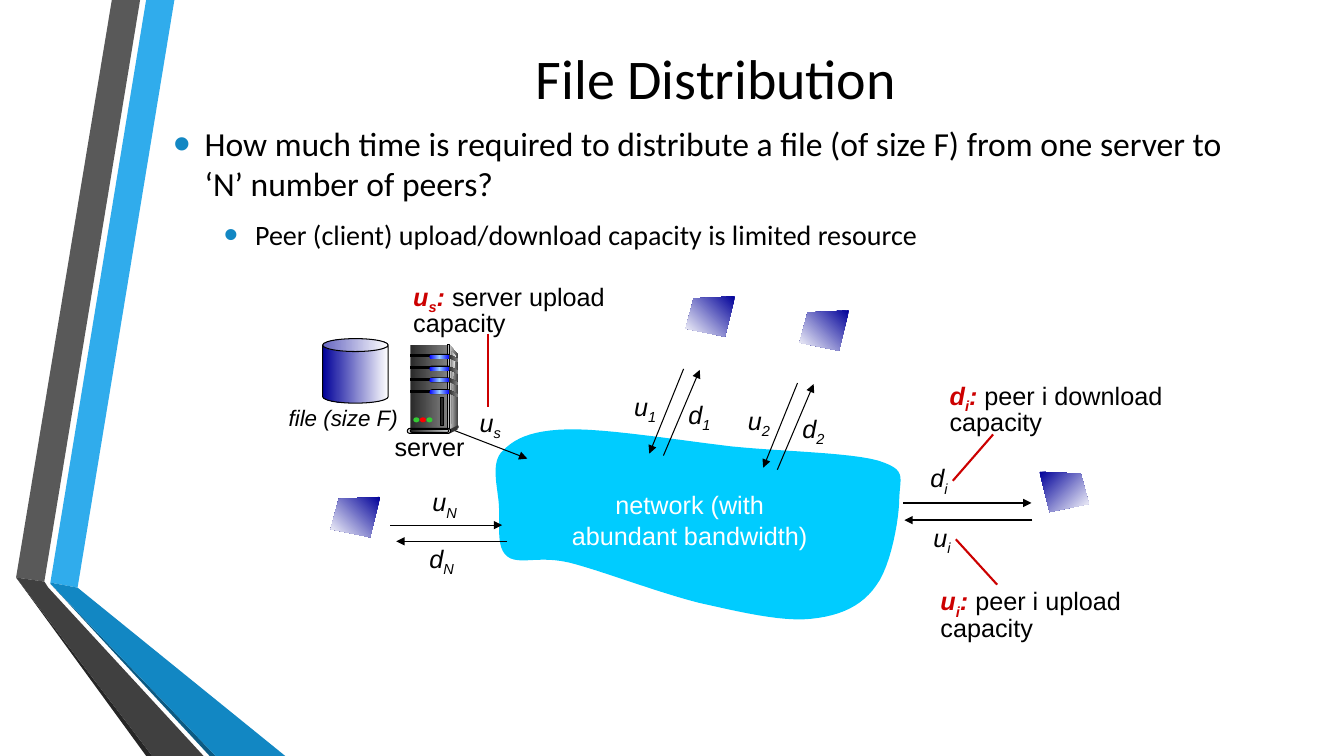
from lxml.etree import SubElement
from pptx import Presentation
from pptx.dml.color import RGBColor
from pptx.enum.shapes import MSO_CONNECTOR, MSO_SHAPE
from pptx.enum.text import MSO_ANCHOR, MSO_AUTO_SIZE, PP_ALIGN
from pptx.oxml.ns import qn
from pptx.util import Inches, Pt

COLORS = {
    "black": "000000", "white": "FFFFFF", "red": "CC0000", "cloud": "00CCFF",
    "navy": "000099", "sky": "30ACEC", "blue": "1287C3", "deep": "0C5A82",
    "gray": "595959", "slate": "404040", "coal": "262626",
    "dark": "292929", "iron": "333333", "steel": "808080", "silver": "DDDDDD",
    "pale": "F8F8F8", "foot": "212121", "mist": "CDD0D1",
    "bay": "0000FF", "glow": "99CCFF", "green": "33CC33", "lamp": "FF0000",
}
BAY = ("bay", "glow", "bay")
PEER = ((0.49, 0), (0.08, 0.02), (0, 0.32), (0.39, 0.4))
CLOUD = (
    (0.77, 0.01), (0.39, 0.02, 0.23, 0.11, 0.11, 0.24),
    (0, 0.37, 0.09, 0.63, 0.09, 0.8), (0.1, 0.97, 0.06, 1.18, 0.17, 1.27),
    (0.29, 1.36, 0.47, 1.26, 0.78, 1.33), (1.1, 1.41, 1.67, 1.63, 2.07, 1.73),
    (2.47, 1.82, 2.89, 1.92, 3.18, 1.89), (3.48, 1.86, 3.69, 1.76, 3.83, 1.56),
    (3.98, 1.36, 4.06, 0.89, 4.06, 0.68), (4.07, 0.47, 4.13, 0.41, 3.85, 0.32),
    (3.57, 0.24, 2.9, 0.23, 2.4, 0.18), (1.89, 0.12, 1.15, 0, 0.77, 0.01),
)


def color(name):
    return RGBColor.from_string(COLORS[name])


def write(paragraph, text, size=18, font="Arial", ink="black", bold=False, italic=False, subscript=False):
    run = paragraph.add_run()
    run.text = text
    run.font.size = Pt(size)
    run.font.name = font
    run.font.color.rgb = color(ink)
    run.font.bold = bold
    run.font.italic = italic
    if subscript:
        run._r.get_or_add_rPr().set("baseline", "-25000")


def paint(shape, fill, angle=0, edge=None):
    shape.shadow.inherit = False
    if isinstance(fill, tuple):
        shape.fill.gradient()
        shape.fill.gradient_angle = (360 - angle) % 360
        stops = shape._element.spPr.find(".//" + qn("a:gsLst"))
        for stop in list(stops):
            stops.remove(stop)
        for i, name in enumerate(fill):
            stop = SubElement(stops, qn("a:gs"), pos=str(100000 * i // (len(fill) - 1)))
            SubElement(stop, qn("a:srgbClr"), val=COLORS[name])
    else:
        shape.fill.solid()
        shape.fill.fore_color.rgb = color(fill)
    if edge:
        shape.line.color.rgb = color(edge)
        shape.line.width = Pt(0.75)
    else:
        shape.line.fill.background()


def curve(start, bend, steps=12):
    x1, y1, x2, y2, x3, y3 = bend
    for step in range(1, steps + 1):
        t = step / steps
        a, b, c, d = (1 - t) ** 3, 3 * t * (1 - t) ** 2, 3 * t * t * (1 - t), t ** 3
        yield a * start[0] + b * x1 + c * x2 + d * x3, a * start[1] + b * y1 + c * y2 + d * y3


def draw_outline(shapes, left, top, nodes, fill, angle=0):
    points = [nodes[0]]
    for node in nodes[1:]:
        points.extend([node] if len(node) == 2 else curve(points[-1], node))
    corners = [(Inches(left + x), Inches(top + y)) for x, y in points]
    builder = shapes.build_freeform(*corners[0], scale=1.0)
    builder.add_line_segments(corners[1:], close=True)
    paint(builder.convert_to_shape(), fill, angle)


def draw_preset(shapes, kind, left, top, width, height, fill, edge=None, adjust=None):
    shape = shapes.add_shape(kind, Inches(left), Inches(top), Inches(width), Inches(height))
    if adjust is not None:
        shape.adjustments[0] = adjust
    paint(shape, fill, edge=edge)


def draw_line(shapes, left, top, start, end, ink="black", width=0.75, arrow=True):
    line = shapes.add_connector(
        MSO_CONNECTOR.STRAIGHT, Inches(left + start[0]), Inches(top + start[1]),
        Inches(left + end[0]), Inches(top + end[1]))
    line.line.color.rgb = color(ink)
    line.line.width = Pt(width)
    if arrow:
        SubElement(line.line._get_or_add_ln(), qn("a:tailEnd"), type="triangle")
    SubElement(line._element.spPr, qn("a:effectLst"))


def add_label(shapes, left, top, width, height, align=PP_ALIGN.LEFT):
    frame = shapes.add_textbox(Inches(left), Inches(top), Inches(width), Inches(height)).text_frame
    frame.word_wrap = True
    paragraph = frame.paragraphs[0]
    paragraph.alignment = align
    return paragraph


def add_rate(shapes, left, top, letter, index):
    paragraph = add_label(shapes, left, top, 0.67, 0.4)
    write(paragraph, letter, italic=True)
    write(paragraph, index, italic=True, subscript=True)


def add_capacity(shapes, left, top, width, letter, index, meaning):
    paragraph = add_label(shapes, left, top, width, 0.61)
    paragraph.line_spacing = 0.85
    write(paragraph, letter, ink="red", bold=True, italic=True)
    write(paragraph, index, ink="red", bold=True, italic=True, subscript=True)
    write(paragraph, ":", ink="red", bold=True, italic=True)
    write(paragraph, " " + meaning)


def draw_ribbon(shapes, left, top):
    for fill, nodes in (
        ("sky", ((0.34, 5.78), (0.61, 5.83), (1.57, 0), (1.29, 0))),
        ("gray", ((1.23, 0), (0.95, 0), (0, 5.73), (0.28, 5.77))),
        ("coal", ((0, 5.73), (1.29, 7.5), (1.35, 7.5))),
        ("deep", ((0.34, 5.79), (1.92, 7.5), (1.98, 7.5))),
        ("blue", ((0.34, 5.79), (1.98, 7.5), (2.67, 7.5), (0.61, 5.83), (0.34, 5.78))),
        ("slate", ((1.86, 7.5), (0.32, 5.83), (0.28, 5.77), (0, 5.73), (1.35, 7.5))),
    ):
        draw_outline(shapes, left, top, nodes, fill)


def place(placeholder, left, top, width, height, anchor):
    placeholder.left, placeholder.top = Inches(left), Inches(top)
    placeholder.width, placeholder.height = Inches(width), Inches(height)
    frame = placeholder.text_frame
    frame.auto_size = MSO_AUTO_SIZE.NONE
    frame.word_wrap = True
    frame.vertical_anchor = anchor
    return frame


def fill_title(placeholder, left, top, width, height):
    paragraph = place(placeholder, left, top, width, height, MSO_ANCHOR.MIDDLE).paragraphs[0]
    paragraph.alignment = PP_ALIGN.CENTER
    write(paragraph, "File Distribution", size=40, font="Calibri")


def fill_question(placeholder, left, top, width, height):
    frame = place(placeholder, left, top, width, height, MSO_ANCHOR.TOP)
    for level, (text, size, indent, before) in enumerate((
        ("How much time is required to distribute a file (of size F) from one server to "
         "‘N’ number of peers?", 24, 0.31, 0),
        ("Peer (client) upload/download capacity is limited resource", 20, 0.81, 4),
    )):
        paragraph = frame.add_paragraph() if level else frame.paragraphs[0]
        paragraph.level = level
        properties = paragraph._p.get_or_add_pPr()
        properties.set("marL", str(Inches(indent)))
        properties.set("indent", str(Inches(-0.31)))
        SubElement(SubElement(properties, qn("a:buClr")), qn("a:srgbClr"), val=COLORS["blue"])
        SubElement(properties, qn("a:buSzPct"), val="145000")
        SubElement(properties, qn("a:buFont"), typeface="Arial")
        SubElement(properties, qn("a:buChar"), char="•")
        paragraph.space_before = Pt(before)
        paragraph.space_after = Pt(6)
        write(paragraph, text, size=size, font="Calibri")


def draw_network(shapes, left, top):
    draw_outline(shapes, left, top, CLOUD, "cloud")
    paragraph = add_label(shapes, left + 0.59, top + 0.56, 2.78, 0.7, PP_ALIGN.CENTER)
    write(paragraph, "network (with abundant bandwidth)", ink="white")


def draw_tower(shapes, left, top):
    tower = shapes.add_group_shape().shapes
    rect, pill, dot = MSO_SHAPE.RECTANGLE, MSO_SHAPE.ROUNDED_RECTANGLE, MSO_SHAPE.OVAL
    draw_outline(tower, left, top, ((0.42, 0), (0.51, 0.11), (0.5, 0.81), (0.41, 0.84)), ("silver", "iron"))
    draw_preset(tower, rect, left + 0.03, top, 0.37, 0.84, ("dark", "steel"))
    draw_outline(tower, left, top, ((0.43, 0.06), (0.43, 0.06, 0.44, 0.06, 0.48, 0.12),
                                    (0.42, 0.43, 0.44, 0.83, 0.43, 0.82)), ("steel", "pale"))
    draw_preset(tower, rect, left + 0.4, top, 0.02, 0.84, ("iron", "silver", "iron"), "black")
    for row in range(4):
        bay = top + 0.1 + 0.117 * row
        draw_preset(tower, rect, left + 0.03, bay, 0.21, 0.02, "black", "black")
        draw_preset(tower, pill, left + 0.22, bay - 0.01, 0.21, 0.05, "black", adjust=0.5)
        draw_preset(tower, pill, left + 0.22, bay, 0.2, 0.04, BAY, adjust=0.5)
        draw_outline(tower, left + 0.41, bay, ((0, 0), (0.02, 0, 0.05, 0.02, 0.09, 0.04), (0.09, 0.07),
                                               (0.09, 0.07, 0.05, 0.05, 0, 0.03)), ("dark", "steel"))
    draw_preset(tower, dot, left + 0.49, top + 0.8, 0.02, 0.03, "iron")
    draw_outline(tower, left, top, ((0.42, 0.84), (0.42, 0.88), (0.5, 0.84), (0.5, 0.8)), "iron")
    draw_preset(tower, pill, left, top + 0.83, 0.43, 0.05, "silver", "black", 0.5)
    draw_preset(tower, pill, left + 0.03, top + 0.84, 0.38, 0.03, ("foot", "mist"), "black", 0.5)
    for i, lamp in enumerate(("green", "lamp", "green")):
        draw_preset(tower, dot, left + 0.06 + 0.065 * i, top + 0.72, 0.06, 0.05, lamp)
    draw_preset(tower, rect, left + 0.33, top + 0.52, 0.03, 0.28, "dark", "black")


def draw_server(shapes, left, top):
    draw_line(shapes, left, top, (1.71, 1.45), (2.59, 1.79))
    add_rate(shapes, left + 2.02, top + 1.23, "u", "s")
    write(add_label(shapes, left + 0.98, top + 1.47, 1.28, 0.4, PP_ALIGN.CENTER), "server")
    write(add_label(shapes, left, top + 1.2, 1.53, 0.37, PP_ALIGN.CENTER), "file (size F)", size=16, italic=True)
    add_capacity(shapes, left + 1.36, top, 2.2, "u", "s", "server upload capacity")
    draw_preset(shapes, MSO_SHAPE.CAN, left + 0.56, top + 0.6, 0.65, 0.64, ("navy", "white"), "black", 0.2)
    draw_line(shapes, left, top, (2.2, 0.55), (2.2, 1.28), "red", 1.5, arrow=False)
    draw_tower(shapes, left + 1.4, top + 0.66)


def draw_peer(shapes, left, top, mirrored=False):
    nodes = [(0.49 - x, y) for x, y in PEER] if mirrored else PEER
    draw_outline(shapes, left, top, nodes, ("navy", "white"), 45 if mirrored else 135)


def draw_upper_peer(shapes, left, top, index):
    draw_peer(shapes, left + 0.61, top)
    add_rate(shapes, left, top + 0.89, "u", index)
    add_rate(shapes, left + 0.54, top + 0.97, "d", index)
    draw_line(shapes, left, top, (0.59, 0.72), (0.25, 1.56))
    draw_line(shapes, left, top, (0.39, 1.58), (0.75, 0.73))


def draw_left_peer(shapes, left, top):
    draw_peer(shapes, left, top + 0.15)
    add_rate(shapes, left + 0.91, top, "u", "N")
    add_rate(shapes, left + 0.88, top + 0.56, "d", "N")
    draw_line(shapes, left, top, (0.59, 0.43), (1.7, 0.43))
    draw_line(shapes, left, top, (1.75, 0.59), (0.65, 0.59))


def draw_right_peer(shapes, left, top):
    draw_peer(shapes, left + 1.35, top + 0.94, mirrored=True)
    add_rate(shapes, left + 0.17, top + 0.8, "d", "i")
    add_rate(shapes, left + 0.2, top + 1.39, "u", "i")
    draw_line(shapes, left, top, (0, 1.25), (1.27, 1.25), width=1.5)
    draw_line(shapes, left, top, (1.28, 1.42), (0.01, 1.42), width=1.5)
    add_capacity(shapes, left + 0.36, top, 2.32, "d", "i", "peer i download capacity")
    add_capacity(shapes, left + 0.27, top + 2.04, 2.3, "u", "i", "peer i upload capacity")
    draw_line(shapes, left, top, (0.89, 0.57), (0.49, 1.03), "red", 1.5, arrow=False)
    draw_line(shapes, left, top, (0.93, 2.06), (0.52, 1.61), "red", 1.5, arrow=False)


def main():
    deck = Presentation()
    deck.slide_width, deck.slide_height = Inches(13.33), Inches(7.5)
    slide = deck.slides.add_slide(deck.slide_layouts[1])
    shapes = slide.shapes
    draw_ribbon(shapes, 0.16, 0)
    fill_title(shapes.title, 1.62, 0.36, 10.96, 0.81)
    fill_question(slide.placeholders[1], 1.62, 1.17, 10.85, 5.17)
    draw_network(shapes, 4.86, 4.25)
    draw_server(shapes, 2.64, 2.76)
    draw_upper_peer(shapes, 6.19, 2.94, "1")
    draw_upper_peer(shapes, 7.32, 3.08, "2")
    draw_left_peer(shapes, 3.28, 4.78)
    draw_right_peer(shapes, 8.96, 3.74)
    deck.save("out.pptx")


if __name__ == "__main__":
    main()
